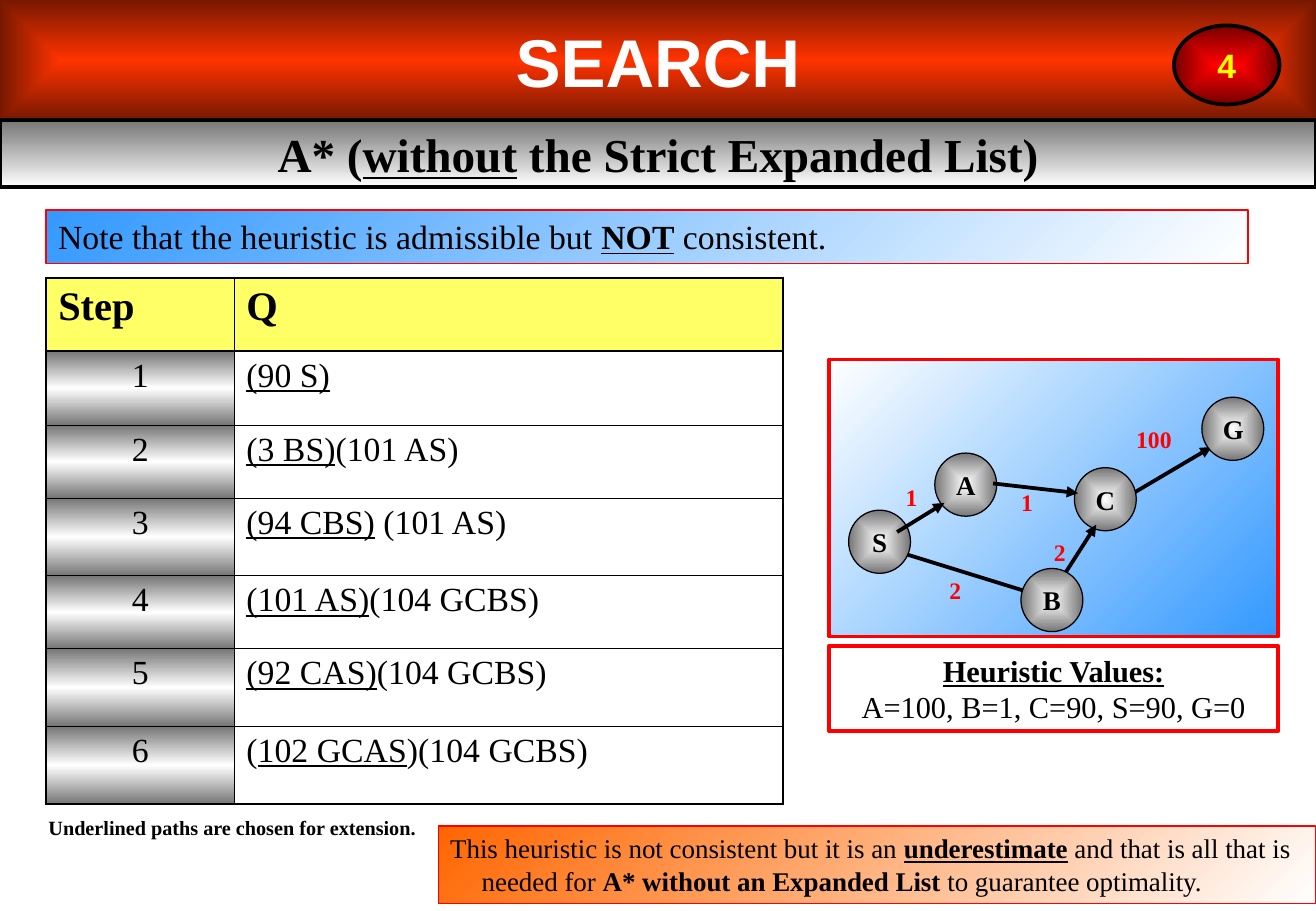
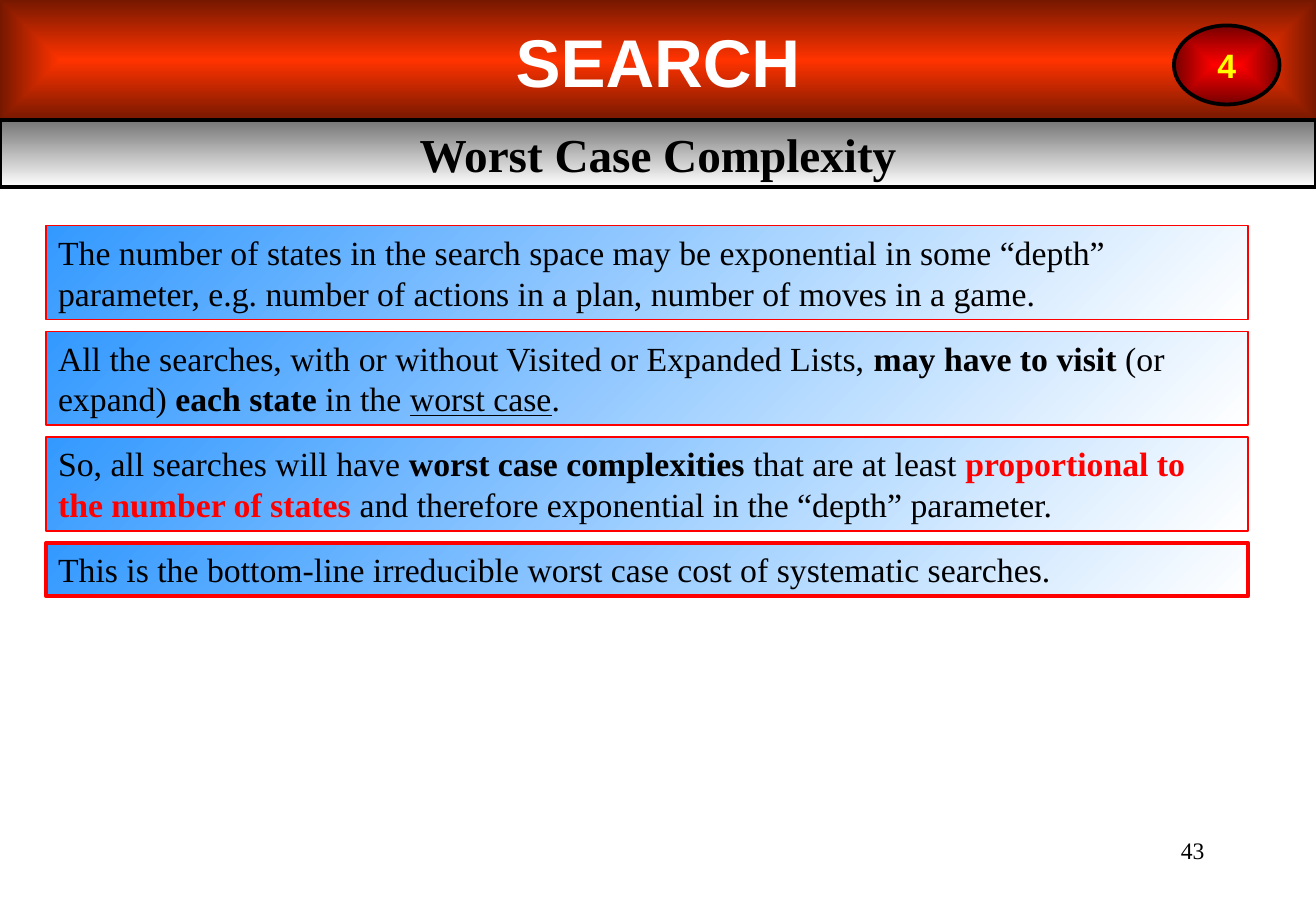
"""Build two lecture slides on A* search and worst case complexity."""
from lxml.etree import SubElement
from pptx import Presentation
from pptx.dml.color import RGBColor
from pptx.enum.shapes import MSO_CONNECTOR as CONNECTOR, MSO_SHAPE as SHAPE
from pptx.enum.text import MSO_ANCHOR as ANCHOR, PP_ALIGN as ALIGN
from pptx.oxml import parse_xml
from pptx.oxml.ns import nsdecls, qn
from pptx.util import Inches, Pt

WIDTH, HEIGHT = 10.84, 7.5
LEFT, NOTE_WIDTH = 0.38, 9.9
ONE_LINE, TWO_LINES, NOTE_GAP = 0.44, 0.77, 0.1
BLACK, WHITE, RED, YELLOW = "000000", "FFFFFF", "FF0000", "FFFF00"
GRAY, BLUE, ORANGE, HEADER_YELLOW = "767676", "3399FF", "FF6600", "FFFF66"
SERIF, SANS = "Times New Roman", "Arial"
NODE_SIZE = (0.51, 0.52)
GRAPH_LEFT, GRAPH_WIDTH = 6.83, 3.7
COLUMN_WIDTHS = (1.55, 4.52)
ROW_HEIGHTS = (0.6, 0.61, 0.6, 0.64, 0.6, 0.64, 0.64)
THIN, THICK = 0.45, 1.08

QUEUE = [
    [("(90 S)", "u")],
    [("(3 BS)", "u"), "(101 AS)"],
    [("(94 CBS)", "u"), " (101 AS)"],
    [("(101 AS)", "u"), "(104 GCBS)"],
    [("(92 CAS)", "u"), "(104 GCBS)"],
    ["(", ("102 GCAS", "u"), ")(104 GCBS)"],
]
COSTS = [("1", 7.36, 3.93, 0.3), ("1", 8.31, 3.97, 0.3), ("2", 7.72, 4.69, 0.3),
         ("100", 9.26, 3.45, 0.49), ("2", 8.58, 4.38, 0.3)]
COMPLEXITY_NOTES = [
    (["The number of states in the search space may be exponential in some “depth” "
      "parameter, e.g. number of actions in a plan, number of moves in a game."],
     TWO_LINES, 0.75),
    (["All the searches, with or without Visited or Expanded Lists, ",
      ("may have to visit ", "b"), "(or expand) ", ("each state ", "b"), "in the ",
      ("worst case", "u"), "."], TWO_LINES, 1),
    (["So, all searches will have ", ("worst case complexities ", "b"),
      "that are at least ", ("proportional to the number of states", "br"),
      " and therefore exponential in the “depth” parameter."], TWO_LINES, 1),
    (["This is the bottom-line irreducible worst case cost of systematic searches."],
     ONE_LINE, 2.25),
]


def rgb(color):
    """Turn a hex string into a colour."""
    return RGBColor.from_string(color)


def write(frame, *paragraphs, size=20, color=BLACK, font=SERIF, bold=False,
          align=ALIGN.LEFT, anchor=ANCHOR.TOP, wrap=True, hanging=0):
    """Write paragraphs of runs; a run is text or (text, flags b, u, r)."""
    frame.word_wrap = wrap
    frame.vertical_anchor = anchor
    for index, runs in enumerate(paragraphs):
        paragraph = frame.add_paragraph() if index else frame.paragraphs[0]
        paragraph.alignment = align
        if hanging:
            properties = paragraph._p.get_or_add_pPr()
            properties.set("marL", str(Inches(hanging)))
            properties.set("indent", str(-Inches(hanging)))
        for item in [runs] if isinstance(runs, str) else runs:
            text, flags = (item, "") if isinstance(item, str) else item
            run = paragraph.add_run()
            run.text = text
            run.font.name = font
            run.font.size = Pt(size)
            run.font.bold = bold or "b" in flags
            run.font.underline = "u" in flags
            run.font.color.rgb = rgb(RED if "r" in flags else color)


def set_gradient(fill, parent, colors, angle=None):
    """Fill with evenly spaced colours, from the centre if no angle is given."""
    fill.gradient()
    gradient = parent.find(qn("a:gradFill"))
    gradient.clear()
    stops = SubElement(gradient, qn("a:gsLst"))
    for index, color in enumerate(colors):
        stop = SubElement(stops, qn("a:gs"), pos=str(100000 * index // (len(colors) - 1)))
        SubElement(stop, qn("a:srgbClr"), val=color)
    if angle is None:
        focus = SubElement(gradient, qn("a:path"), path="rect")
        SubElement(focus, qn("a:fillToRect"), dict.fromkeys("ltrb", "50000"))
    else:
        SubElement(gradient, qn("a:lin"), ang=str(angle * 60000), scaled="1")


def add_box(slide, left, top, width, height, colors=(), angle=None, line=None,
            line_width=0.75, kind=SHAPE.RECTANGLE):
    """Add a shape with a gradient and an outline."""
    shape = slide.shapes.add_shape(kind, Inches(left), Inches(top), Inches(width), Inches(height))
    shape.shadow.inherit = False
    if colors:
        set_gradient(shape.fill, shape._element.spPr, colors, angle)
    else:
        shape.fill.background()
    if line:
        shape.line.color.rgb = rgb(line)
        shape.line.width = Pt(line_width)
    else:
        shape.line.fill.background()
    return shape


def add_label(slide, text, left, top, width, height, **text_format):
    """Add a text box."""
    box = slide.shapes.add_textbox(Inches(left), Inches(top), Inches(width), Inches(height))
    write(box.text_frame, text, **text_format)


def add_note(slide, runs, top, height, line_width=0.75):
    """Add a blue note across the slide."""
    note = add_box(slide, LEFT, top, NOTE_WIDTH, height, (BLUE, WHITE), 45, RED, line_width)
    write(note.text_frame, runs)


def add_node(slide, name, left, top):
    """Add a round graph node."""
    node = add_box(slide, left, top, *NODE_SIZE, (WHITE, GRAY), line=BLACK, kind=SHAPE.OVAL)
    write(node.text_frame, name, size=16, bold=True, align=ALIGN.CENTER, anchor=ANCHOR.MIDDLE)


def add_arrow(slide, *ends):
    """Add an arrow from one point to another."""
    arrow = slide.shapes.add_connector(CONNECTOR.STRAIGHT, *map(Inches, ends))
    arrow.line.color.rgb = rgb(BLACK)
    arrow.line.width = Pt(2.25)
    properties = arrow._element.spPr
    SubElement(properties.find(qn("a:ln")), qn("a:tailEnd"), type="triangle")
    SubElement(properties, qn("a:effectLst"))


def set_borders(cell, **widths):
    """Draw the black borders of a cell, keyed L, R, T, B."""
    properties = cell._tc.get_or_add_tcPr()
    for index, side in enumerate("LRTB"):
        properties.insert(index, parse_xml(
            f'<a:ln{side} {nsdecls("a")} w="{Pt(widths[side])}"><a:solidFill>'
            f'<a:srgbClr val="{BLACK}"/></a:solidFill></a:ln{side}>'))


def add_queue_table(slide):
    """Add the table of search steps."""
    rows = [("Step", "Q")] + [(str(step), runs) for step, runs in enumerate(QUEUE, 1)]
    table = slide.shapes.add_table(
        len(rows), 2, Inches(LEFT), Inches(2.29), Inches(sum(COLUMN_WIDTHS)),
        Inches(sum(ROW_HEIGHTS))).table
    table.first_row = table.horz_banding = False
    for column, width in zip(table.columns, COLUMN_WIDTHS):
        column.width = Inches(width)
    for row_index, (row, height) in enumerate(zip(rows, ROW_HEIGHTS)):
        table.rows[row_index].height = Inches(height)
        header = row_index == 0
        for column_index, text in enumerate(row):
            cell = table.cell(row_index, column_index)
            step = column_index == 0
            write(cell.text_frame, text, size=24 if header else 20, bold=header,
                  align=ALIGN.CENTER if step and not header else ALIGN.LEFT)
            if step and not header:
                set_gradient(cell.fill, cell._tc.get_or_add_tcPr(), (GRAY, WHITE, GRAY), 90)
            else:
                cell.fill.solid()
                cell.fill.fore_color.rgb = rgb(HEADER_YELLOW if header else WHITE)
            set_borders(cell, L=THICK if step else THIN, R=THIN if step else THICK,
                        T=THICK if row_index < 2 else THIN,
                        B=THICK if row_index in (0, len(rows) - 1) else THIN)


def add_graph(slide):
    """Add the search graph with its edge costs."""
    add_box(slide, GRAPH_LEFT, 2.96, GRAPH_WIDTH, 2.28, (WHITE, BLUE), 45, RED, 2.25)
    add_arrow(slide, 9.2, 4.14, 9.98, 3.68)
    for name, left, top in (("A", 7.7, 3.73), ("C", 8.85, 3.85), ("G", 9.9, 3.27)):
        add_node(slide, name, left, top)
    add_arrow(slide, 7.39, 4.54, 8.65, 4.93)
    add_arrow(slide, 8.78, 4.71, 9.03, 4.32)
    add_arrow(slide, 8.18, 3.98, 8.88, 4.06)
    add_node(slide, "S", 6.99, 4.2)
    add_arrow(slide, 7.39, 4.38, 7.78, 4.14)
    add_node(slide, "B", 8.41, 4.68)
    for cost, left, top, width in COSTS:
        add_label(slide, cost, left, top, width, 0.34, size=14, color=RED, bold=True,
                  align=ALIGN.CENTER, wrap=False)


def add_slide(presentation, title):
    """Add a blank slide with the shared bands and chapter badge."""
    slide = presentation.slides.add_slide(presentation.slide_layouts[6])
    centred = dict(bold=True, align=ALIGN.CENTER, anchor=ANCHOR.MIDDLE)
    band = add_box(slide, 0, 0, WIDTH, 0.99, ("FF3300", "761800"))
    write(band.text_frame, "SEARCH", size=40, color=WHITE, font=SANS, **centred)
    title_bar = add_box(slide, 0, 0.99, WIDTH, 0.55, (GRAY, WHITE), 90, BLACK, 2.25)
    write(title_bar.text_frame, title, size=28, **centred)
    badge = add_box(slide, 9.67, 0.21, 0.87, 0.65, (RED, "760000"), line=BLACK,
                    line_width=2.25, kind=SHAPE.OVAL)
    write(badge.text_frame, "4", color=YELLOW, font=SANS, wrap=False, **centred)
    return slide


def build_search_slide(presentation):
    """Build the slide that traces A* without an expanded list."""
    slide = add_slide(presentation, ["A* (", ("without", "u"), " the Strict Expanded List)"])
    add_note(slide, ["Note that the heuristic is admissible but ", ("NOT", "bu"),
                     " consistent."], 1.73, ONE_LINE)
    add_graph(slide)
    heuristics = add_box(slide, GRAPH_LEFT, 5.32, GRAPH_WIDTH, 0.7, line=RED, line_width=2.25)
    write(heuristics.text_frame, [("Heuristic Values:", "bu")], "A=100, B=1, C=90, S=90, G=0",
          size=18, align=ALIGN.CENTER)
    add_queue_table(slide)
    add_label(slide, "Underlined paths are chosen for extension.", 0.3, 6.66, 3.23, 0.3,
              size=12, bold=True, align=ALIGN.CENTER, wrap=False)
    conclusion = add_box(slide, 3.61, 6.8, 7.23, 0.64, (ORANGE, WHITE), 45, RED)
    write(conclusion.text_frame,
          ["This heuristic is not consistent but it is an ", ("underestimate", "bu"),
           " and that is all that is needed for ", ("A* without an Expanded List", "b"),
           " to guarantee optimality."], size=16, hanging=0.26)


def build_complexity_slide(presentation):
    """Build the slide on worst case complexity."""
    slide = add_slide(presentation, "Worst Case Complexity")
    top = 1.86
    for runs, height, line_width in COMPLEXITY_NOTES:
        add_note(slide, runs, top, height, line_width)
        top += height + NOTE_GAP
    add_label(slide, "43", 7.76, 6.83, 2.26, 0.5, size=14, align=ALIGN.RIGHT)


def main():
    """Build and save the presentation."""
    presentation = Presentation()
    presentation.slide_width, presentation.slide_height = Inches(WIDTH), Inches(HEIGHT)
    build_search_slide(presentation)
    build_complexity_slide(presentation)
    presentation.save("out.pptx")


if __name__ == "__main__":
    main()
